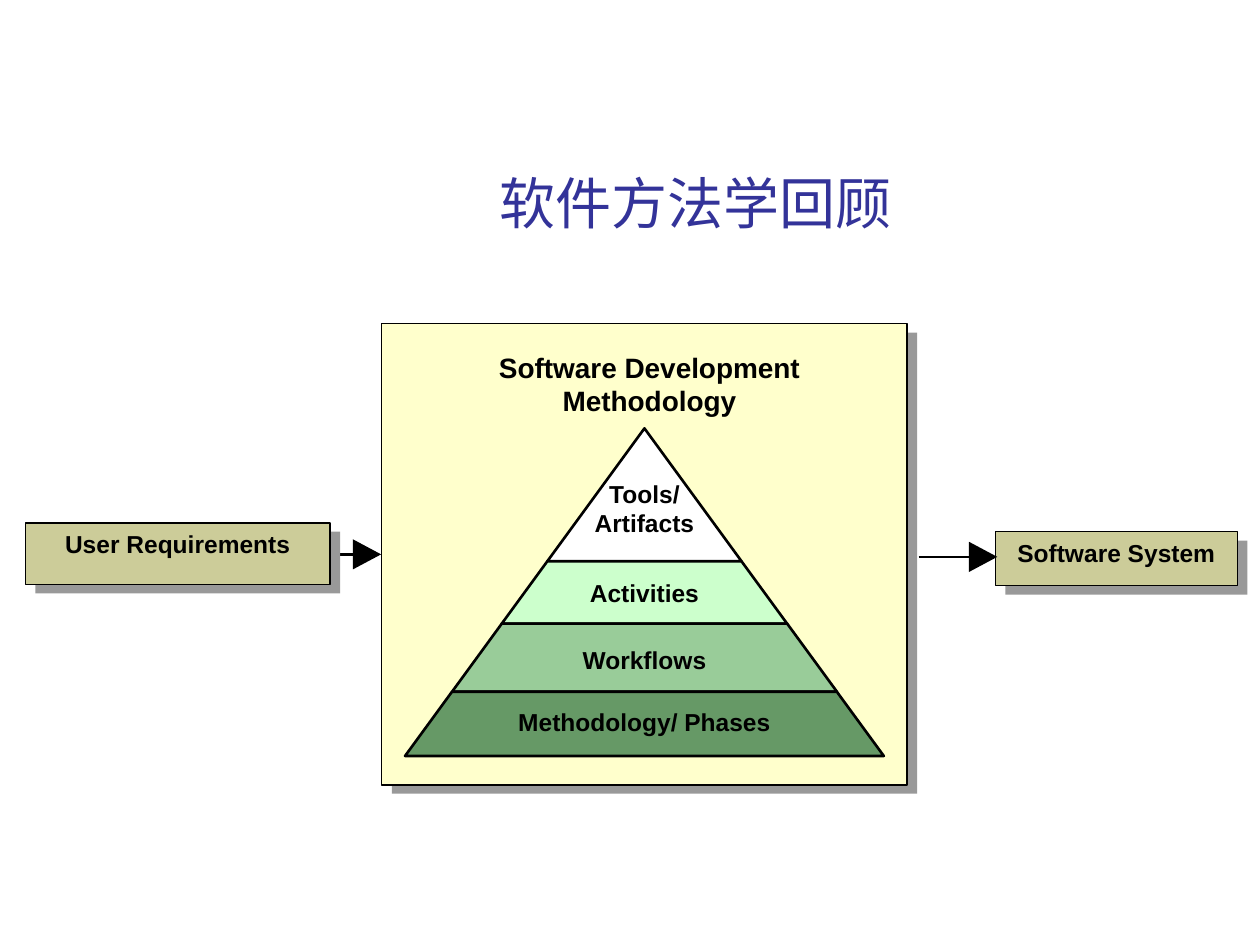
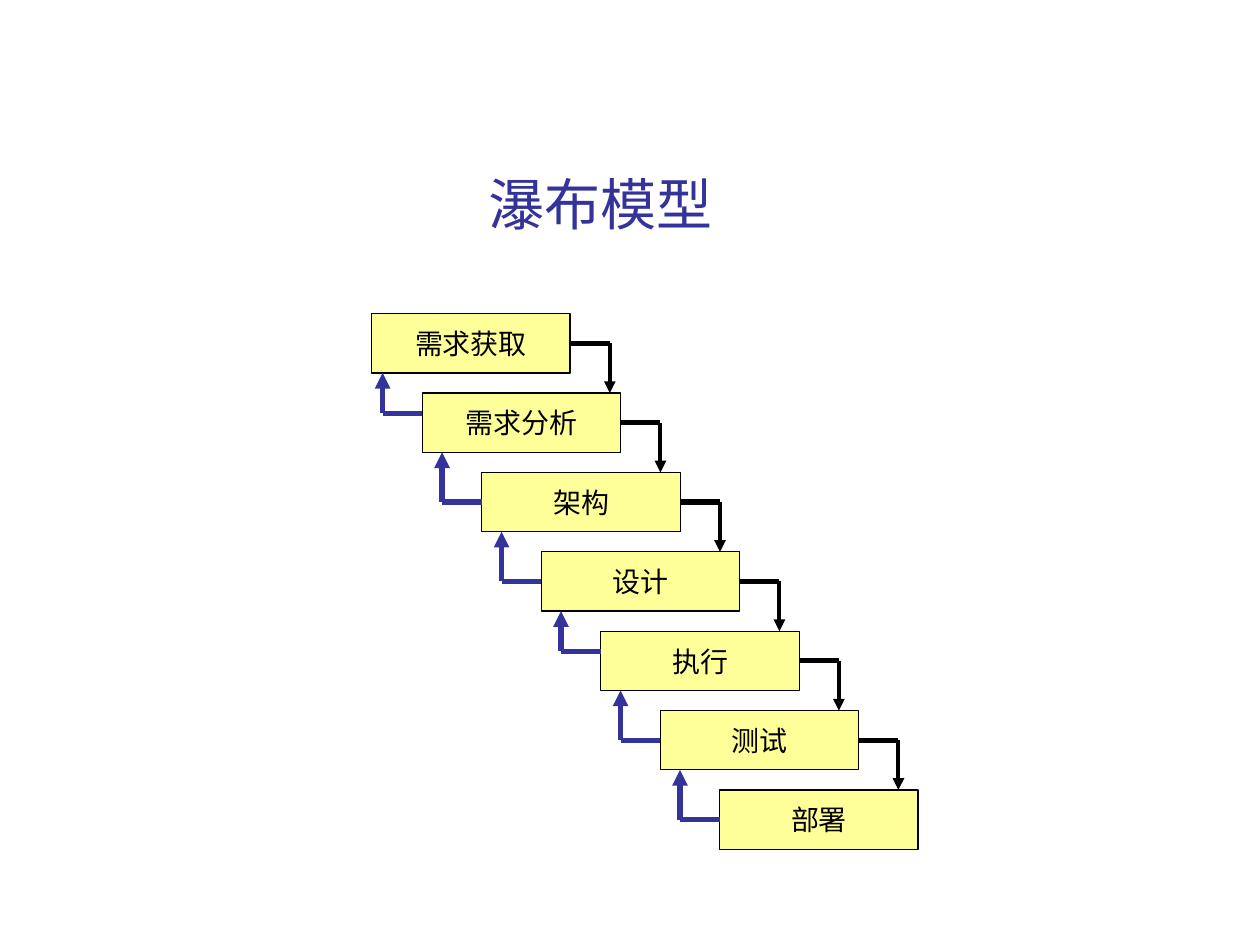
from lxml.etree import SubElement
from pptx import Presentation
from pptx.dml.color import RGBColor
from pptx.enum.shapes import MSO_CONNECTOR, MSO_SHAPE
from pptx.enum.text import MSO_ANCHOR, MSO_AUTO_SIZE, PP_ALIGN
from pptx.oxml.ns import qn
from pptx.util import Inches, Pt

# Grid: 100 columns by 75 rows of equal cells
WIDTH, HEIGHT = Inches(10), Inches(7.5)
CELL = WIDTH / 100

# Colours and fonts
BLACK = RGBColor(0, 0, 0)
WHITE = RGBColor(0xFF, 0xFF, 0xFF)
NAVY = RGBColor(0x33, 0x33, 0x99)
GREY = RGBColor(0x99, 0x99, 0x99)
CREAM = RGBColor(0xFF, 0xFF, 0xCC)
SAND = RGBColor(0xCC, 0xCC, 0x99)
LEMON = RGBColor(0xFF, 0xFF, 0x99)
MINT = RGBColor(0xCC, 0xFF, 0xCC)
LEAF = RGBColor(0x99, 0xCC, 0x99)
MOSS = RGBColor(0x66, 0x99, 0x66)
SANS, SERIF, HAN = "Arial", "Times New Roman", "Noto Sans CJK SC"


def grid(*cells):
    return [round(cell * CELL) for cell in cells]


def write(frame, lines, size, face, color=BLACK, bold=False,
          anchor=MSO_ANCHOR.TOP, wrap=True):
    frame.auto_size = MSO_AUTO_SIZE.NONE
    frame.word_wrap = wrap
    frame.vertical_anchor = anchor
    for i, line in enumerate(lines):
        para = frame.add_paragraph() if i else frame.paragraphs[0]
        para.alignment = PP_ALIGN.CENTER
        run = para.add_run()
        run.text = line
        font = run.font
        font.name, font.size, font.bold = face, Pt(size), bold
        font.color.rgb = color
        SubElement(run._r.get_or_add_rPr(), qn("a:ea"), typeface=HAN)


def paint(shape, fill, line=None):
    shape.shadow.inherit = False
    shape.fill.solid()
    shape.fill.fore_color.rgb = fill
    if line:
        shape.line.color.rgb = BLACK
        shape.line.width = Pt(line)
    else:
        shape.line.fill.background()


def add_page(deck, title, left, top):
    page = deck.slides.add_slide(deck.slide_layouts[5])
    head = page.shapes.title
    head.left, head.top, head.width, head.height = grid(left, top, 85.2, 12.5)
    write(head.text_frame, [title], 32, HAN, NAVY, anchor=MSO_ANCHOR.BOTTOM)
    return page.shapes


def add_box(shapes, place, fill, line=0.75):
    box = shapes.add_shape(MSO_SHAPE.RECTANGLE, *grid(*place))
    paint(box, fill, line)
    return box


def add_card(shapes, place, fill):
    """Outlined box with a hard grey shadow."""
    left, top, width, height = place
    add_box(shapes, (left + 0.8, top + 0.7, width, height), GREY, None)
    return add_box(shapes, place, fill)


def add_shape(shapes, points, fill, line=None):
    start, *rest = [grid(*point) for point in points]
    form = shapes.build_freeform(*start)
    form.add_line_segments(rest, close=True)
    paint(form.convert_to_shape(), fill, line)


def add_line(shapes, start, end, color, width, head=False):
    line = shapes.add_connector(MSO_CONNECTOR.STRAIGHT, *grid(*start, *end))
    line.line.color.rgb = color
    line.line.width = Pt(width)
    if head:
        SubElement(line.line._get_or_add_ln(), qn("a:tailEnd"), type="triangle")
    SubElement(line._element.spPr, qn("a:effectLst"))
    return line


def add_arrow(shapes, left, row):
    """Thin shaft with a large solid head."""
    add_line(shapes, (left, row), (left + 4.5, row), BLACK, 1.5)
    neck = left + 4
    add_shape(shapes, [(neck, row + 1.2), (neck, row - 1.2),
                       (neck + 2.25, row)], BLACK)


def add_label(shapes, lines, place, size=14):
    box = shapes.add_textbox(*grid(*place))
    write(box.text_frame, lines, size, SANS, bold=True)


def add_cone(shapes, mid, rows, half, fills):
    """Pyramid cut into bands at the given rows."""
    slope = half / (rows[-1] - rows[0])
    for top, foot, fill in zip(rows, rows[1:], fills):
        near, far = slope * (top - rows[0]), slope * (foot - rows[0])
        points = [(mid - far, foot), (mid - near, top)]
        if near:
            points.append((mid + near, top))
        add_shape(shapes, points + [(mid + far, foot)], fill, 1.5)


def draw_method(deck):
    shapes = add_page(deck, "软件方法学回顾", 12.6, 6.7)
    # Panel and pyramid
    add_card(shapes, (30.3, 25.7, 41.7, 36.6), CREAM)
    add_cone(shapes, 51.15, [34, 44.55, 49.5, 54.9, 60], 19,
             [WHITE, MINT, LEAF, MOSS])
    add_label(shapes, ["Software Development", "Methodology"],
              (35.8, 27.3, 31.5, 6.4), 16)
    for lines, top, tall in [(["Tools/", "Artifacts"], 37.5, 5.7),
                             (["Activities"], 45.4, 3.4),
                             (["Workflows"], 50.7, 3.4),
                             (["Methodology/ Phases"], 55.6, 3.4)]:
        add_label(shapes, lines, (36.6, top, 29.1, tall))
    # Input and output
    add_arrow(shapes, 24, 44)
    for text, place in [("User Requirements", (2, 41.5, 24.2, 4.9)),
                        ("Software System", (79, 42.2, 19.2, 4.3))]:
        card = add_card(shapes, place, SAND)
        write(card.text_frame, [text], 14, SANS, bold=True)
    add_arrow(shapes, 72.9, 44.2)


def draw_falls(deck):
    shapes = add_page(deck, "瀑布模型", 5.1, 6.8)
    wide, tall, reach = 15.75, 4.7, 3.15
    names = ["需求获取", "需求分析", "架构", "设计", "执行", "测试", "部署"]
    # Steps, the first set a little to the right
    spots = [(28.8 + 4.72 * i + (0 if i else 0.7), 24.9 + 6.3 * i)
             for i in range(len(names))]
    steps = []
    for name, (left, top) in zip(names, spots):
        step = add_box(shapes, (left, top, wide, tall), LEMON)
        write(step.text_frame, [name], 16, SERIF,
              anchor=MSO_ANCHOR.MIDDLE, wrap=False)
        steps.append(step)
    # Links down to the next step and back up
    for i, (left, top) in enumerate(spots[:-1]):
        side, mid = left + wide, top + tall / 2
        turn = side + reach
        low_left, low_top = spots[i + 1]
        out = add_line(shapes, (side, mid), (turn, mid), BLACK, 3)
        out.begin_connect(steps[i], 3)
        add_line(shapes, (turn, mid), (turn, low_top), BLACK, 2.25, True)

        high = i in (0, 3)
        row = low_top + (1.6 if high else tall / 2)
        turn = low_left - reach
        add_line(shapes, (turn, row), (turn, top + tall), NAVY, 3, True)
        back = add_line(shapes, (turn, row), (low_left, row), NAVY, 3)
        if not high:
            back.end_connect(steps[i + 1], 1)


def main():
    deck = Presentation()
    deck.slide_width, deck.slide_height = WIDTH, HEIGHT
    draw_method(deck)
    draw_falls(deck)
    deck.save("out.pptx")


if __name__ == "__main__":
    main()
